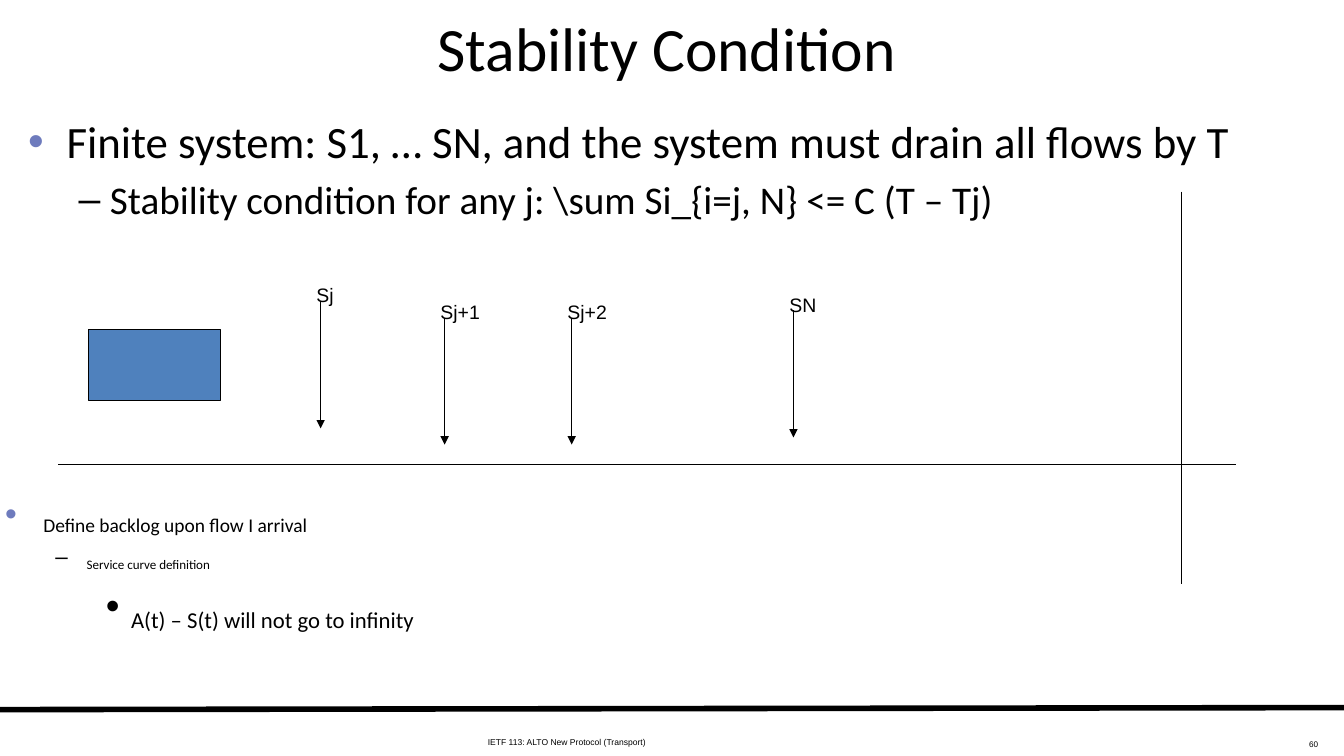
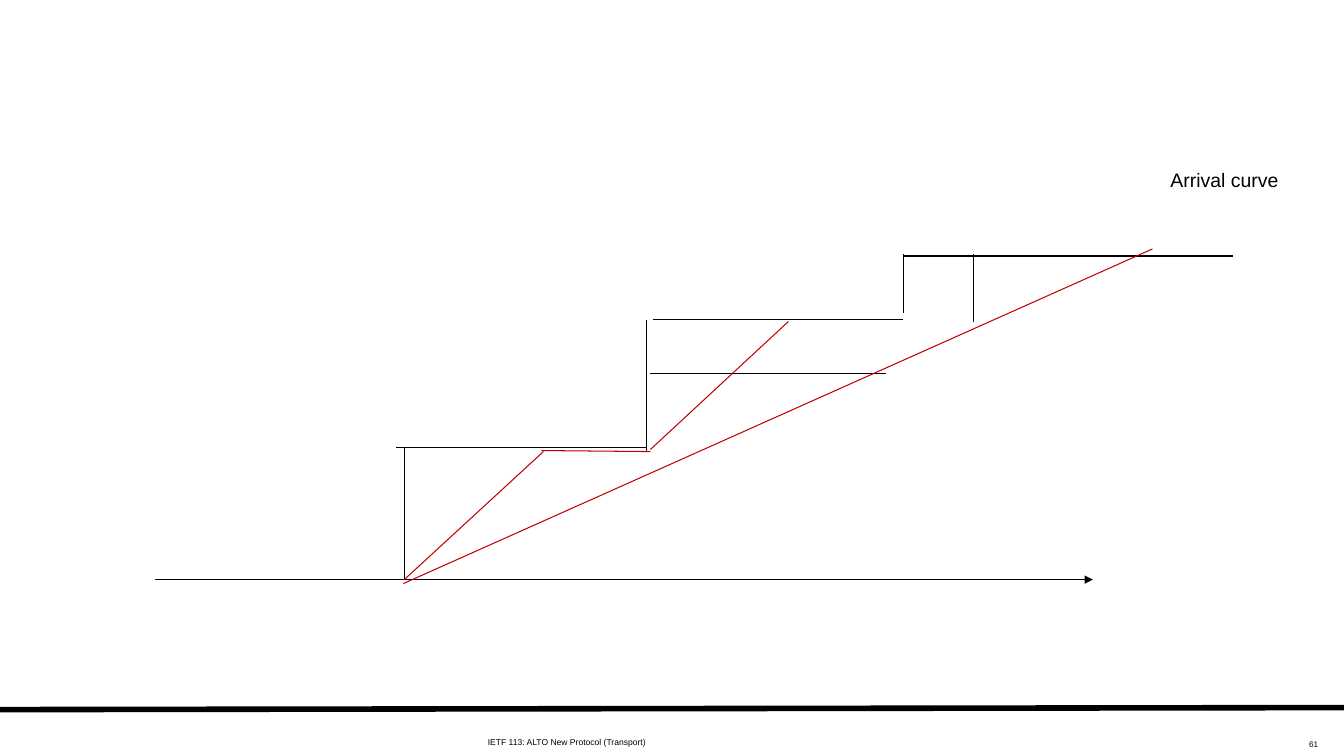
from dataclasses import dataclass

from lxml import etree
from pptx import Presentation
from pptx import util as u
from pptx.dml.color import RGBColor
from pptx.enum import shapes, text
from pptx.oxml import parse_xml
from pptx.oxml.ns import nsdecls, qn

EMU_PER_PX = 9144  # 100 px to the inch


@dataclass(frozen=True)
class Theme:
    ink: str = "000000"
    curve: str = "C00000"
    box: str = "4F81BD"
    bullet: str = "6E7BBD"
    head_font: str = "Calibri"
    label_font: str = "Arial"
    title: float = 44
    label: float = 24
    footer: float = 10.5
    number: float = 10
    thin: float = 0.75
    rule: float = 4


T = Theme()
FOOTER = "IETF 113: ALTO New Protocol (Transport)"
# level: bullet character, bullet colour, left margin, hanging indent
LEVELS = [("•", T.bullet, 38, 38), ("–", T.ink, 81, 31), ("•", T.ink, 125, 25)]


def px(*values):
    return [u.Emu(v * EMU_PER_PX) for v in values]


def rgb(value):
    return RGBColor.from_string(value)


def place(sp, at):
    for name, value in zip(("left", "top", "width", "height"), px(*at)):
        setattr(sp, name, value)


def add_run(p, words, size, font, lowered=False):
    r = p.add_run()
    r.text = words
    for name, value in {"size": u.Pt(size), "name": font}.items():
        setattr(r.font, name, value)
    r.font.color.rgb = rgb(T.ink)
    if lowered:
        r._r.get_or_add_rPr().set("baseline", "-25000")
    return r


def label(s, words, at, size=T.label, align=text.PP_ALIGN.LEFT, wrap=False):
    """Add a one-line Arial label, set below the baseline."""
    tf = s.shapes.add_textbox(*px(*at)).text_frame
    tf.word_wrap = wrap
    if not wrap:
        tf.auto_size = text.MSO_AUTO_SIZE.SHAPE_TO_FIT_TEXT
    p = tf.paragraphs[0]
    p.alignment = align
    add_run(p, words, size, T.label_font, lowered=True)


def line(s, ends, color=T.ink, width=T.thin, arrow=False):
    c = s.shapes.add_connector(shapes.MSO_CONNECTOR.STRAIGHT, *px(*ends))
    c.line.color.rgb = rgb(color)
    c.line.width = u.Pt(width)
    spPr = c._element.spPr
    if arrow:
        etree.SubElement(spPr.find(qn("a:ln")), qn("a:tailEnd"), type="triangle")
    etree.SubElement(spPr, qn("a:effectLst"))


def title(s, words):
    sp = s.shapes.title
    place(sp, (37, 9, 1249, 75))
    tf = sp.text_frame
    tf.auto_size = text.MSO_AUTO_SIZE.NONE
    tf.vertical_anchor = text.MSO_ANCHOR.MIDDLE
    p = tf.paragraphs[0]
    p.alignment = text.PP_ALIGN.CENTER
    r = add_run(p, words, T.title, T.head_font)
    shadow = parse_xml(
        f'<a:effectLst {nsdecls("a")}><a:outerShdw blurRad="38100" dist="38100" '
        'dir="2700000" algn="tl"><a:srgbClr val="C0C0C0"/></a:outerShdw></a:effectLst>')
    r._r.get_or_add_rPr().find(qn("a:solidFill")).addnext(shadow)


def set_bullet(p, level):
    char, color, margin, hang = LEVELS[level]
    p.level = level
    pPr = p._p.get_or_add_pPr()
    left, first = px(margin, -hang)
    pPr.set("marL", str(left))
    pPr.set("indent", str(first))
    clr = etree.SubElement(pPr, qn("a:buClr"))
    etree.SubElement(clr, qn("a:srgbClr"), val=color)
    etree.SubElement(pPr, qn("a:buFont"), typeface=T.label_font)
    etree.SubElement(pPr, qn("a:buChar"), char=char)


def bullets(sp, at, items, lowered=False):
    """Fill a body placeholder with (words, size) items, one level deeper each."""
    place(sp, at)
    tf = sp.text_frame
    tf.auto_size = text.MSO_AUTO_SIZE.NONE
    for level, (words, size) in enumerate(items):
        p = tf.add_paragraph() if level else tf.paragraphs[0]
        set_bullet(p, level)
        add_run(p, words, size, T.head_font, lowered)


def add_slide(prs, layout, number):
    s = prs.slides.add_slide(prs.slide_layouts[layout])
    line(s, (0, 704, 1333, 702), width=T.rule)
    label(s, FOOTER, (474, 716, 296, 28), T.footer)
    label(s, str(number), (1039, 719, 278, 33), T.number,
          text.PP_ALIGN.RIGHT, wrap=True)
    return s


def stability_slide(prs):
    s = add_slide(prs, 3, 60)
    title(s, "Stability Condition")
    condition, backlog = list(s.placeholders)[1:]
    bullets(condition, (18, 108, 1291, 110), [
        ("Finite system: S1, … SN, and the system must drain all flows by T", 32),
        ("Stability condition for any j: \\sum Si_{i=j, N} <= C (T – Tj)", 28)])
    bullets(backlog, (-5, 482, 1291, 195), [
        ("Define backlog upon flow I arrival", 24),
        ("Service curve definition", 16),
        ("A(t) – S(t) will not go to infinity", 28)], lowered=True)

    line(s, (58, 461, 1226, 461))
    line(s, (1172, 190, 1172, 579))
    for words, x, y, width in [("Sj", 318, 299, 40), ("Sj+1", 441, 315, 66),
                               ("Sj+2", 567, 315, 66), ("SN", 787, 308, 51)]:
        line(s, (x, y, x, y + 126), arrow=True)
        label(s, words, (x - 14, y - 45, width, 37))

    queue = s.shapes.add_shape(shapes.MSO_SHAPE.RECTANGLE, *px(88, 327, 131, 70))
    queue.shadow.inherit = False
    queue.fill.solid()
    queue.fill.fore_color.rgb = rgb(T.box)
    queue.line.color.rgb = rgb(T.ink)
    queue.line.width = u.Pt(T.thin)


def arrival_slide(prs):
    s = add_slide(prs, 6, 61)
    line(s, (154, 575, 1084, 575), arrow=True)
    treads = [(154, 575, 401), (393, 444, 641), (648, 317, 896),
              (896, 254, 1223), (645, 371, 879)]
    risers = [(401, 575, 444), (641, 448, 317), (896, 311, 252), (966, 252, 319)]
    service = [(401, 575, 539, 448), (645, 446, 782, 319),
               (537, 447, 645, 448), (400, 579, 1143, 247)]
    for x1, y, x2 in treads:
        line(s, (x1, y, x2, y))
    for x, y1, y2 in risers:
        line(s, (x, y1, x, y2))
    for ends in service:
        line(s, ends, T.curve)
    label(s, "Arrival curve", (1151, 139, 145, 37))


def main():
    prs = Presentation()
    prs.slide_width, prs.slide_height = px(1333, 750)
    stability_slide(prs)
    arrival_slide(prs)
    prs.save("out.pptx")


if __name__ == "__main__":
    main()
